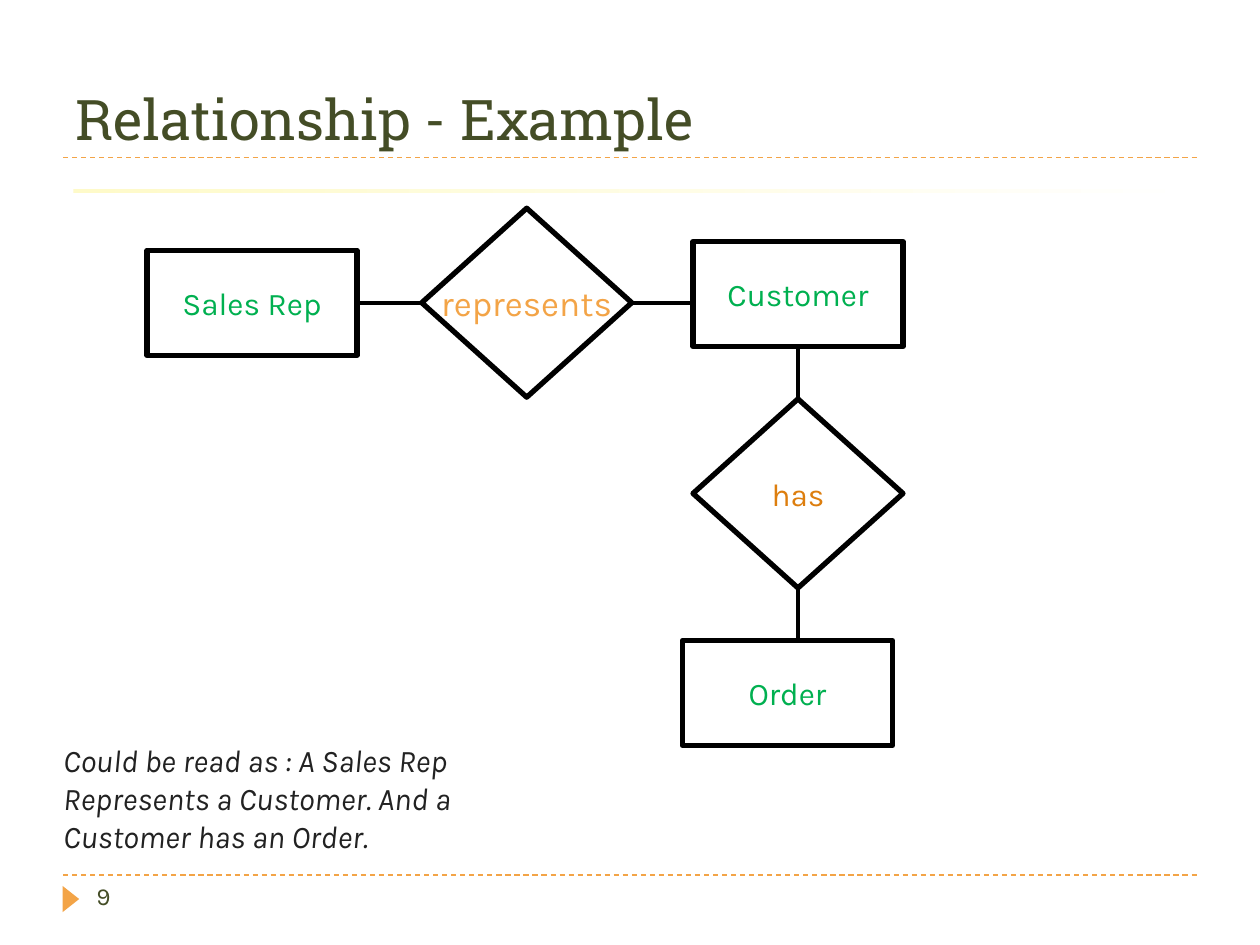
from dataclasses import dataclass

from lxml import etree
from pptx import Presentation
from pptx.dml.color import RGBColor
from pptx.enum.dml import MSO_LINE
from pptx.enum.shapes import MSO_CONNECTOR, MSO_SHAPE
from pptx.enum.text import MSO_ANCHOR, PP_ALIGN
from pptx.oxml.ns import qn
from pptx.shapes.autoshape import Shape
from pptx.shapes.connector import Connector
from pptx.slide import Slide
from pptx.util import Pt

RECTANGLE = MSO_SHAPE.RECTANGLE
DIAMOND = MSO_SHAPE.DIAMOND
TRIANGLE = MSO_SHAPE.ISOSCELES_TRIANGLE
STRAIGHT = MSO_CONNECTOR.STRAIGHT
DASH = MSO_LINE.DASH
TOP, MIDDLE, BOTTOM = MSO_ANCHOR.TOP, MSO_ANCHOR.MIDDLE, MSO_ANCHOR.BOTTOM
LEFT, CENTER = PP_ALIGN.LEFT, PP_ALIGN.CENTER
SITE_TOP, SITE_LEFT, SITE_BOTTOM, SITE_RIGHT = range(4)

BODY_FONT, TITLE_FONT = "Karla", "Roboto Slab"
BLACK, ORANGE, DARK_ORANGE = "000000", "F3A447", "DD7E0E"
GREEN, OLIVE, CHARCOAL = "00B050", "444D26", "222222"
NODE_WIDTH = 120
NODE_HEIGHTS = {RECTANGLE: 60, DIAMOND: 108}


@dataclass
class Node:
    label: str
    kind: MSO_SHAPE
    left: float
    top: float
    color: str
    size: float = 18


@dataclass
class Link:
    """A line between nodes; a None node leaves that end free at its point."""
    start: tuple[float, float]
    end: tuple[float, float]
    start_node: str | None
    start_site: int
    end_node: str | None
    end_site: int


NODES = [
    Node("represents", DIAMOND, 241, 119, ORANGE, 20),
    Node("Customer", RECTANGLE, 396, 138, GREEN),
    Node("Sales Rep", RECTANGLE, 84, 143, GREEN),
    Node("Order", RECTANGLE, 390, 366, GREEN),
    Node("has", DIAMOND, 396, 228, DARK_ORANGE),
]

LINKS = [
    Link((456, 198), (456, 228), "Customer", SITE_BOTTOM, "has", SITE_TOP),
    Link((456, 336), (456, 366), "has", SITE_BOTTOM, None, SITE_TOP),
    Link((204, 173), (241, 173), "Sales Rep", SITE_RIGHT, "represents", SITE_LEFT),
    Link((361, 173), (396, 173), "represents", SITE_RIGHT, None, SITE_LEFT),
]


def rgb(color: str) -> RGBColor:
    return RGBColor.from_string(color)


def write(shape: Shape, text: str, *, size: float, color: str, font: str = BODY_FONT,
          align: PP_ALIGN = LEFT, anchor: MSO_ANCHOR = TOP,
          italic: bool = False, wrap: bool = True) -> None:
    """Fill a shape with text, one paragraph per line."""
    frame = shape.text_frame
    frame.word_wrap = wrap
    frame.vertical_anchor = anchor
    frame.text = text
    for paragraph in frame.paragraphs:
        paragraph.alignment = align
        paragraph.font.size = Pt(size)
        paragraph.font.name = font
        paragraph.font.italic = italic
        paragraph.font.color.rgb = rgb(color)


def add_text(slide: Slide, text: str, left: float, top: float,
             width: float, height: float, **text_format) -> None:
    box = slide.shapes.add_textbox(Pt(left), Pt(top), Pt(width), Pt(height))
    write(box, text, **text_format)


def add_plain_shape(slide: Slide, kind: MSO_SHAPE, left: float, top: float,
                    width: float, height: float) -> Shape:
    """Add a shape without fill, line or shadow."""
    shape = slide.shapes.add_shape(kind, Pt(left), Pt(top), Pt(width), Pt(height))
    shape.shadow.inherit = False
    shape.fill.background()
    shape.line.fill.background()
    return shape


def add_line(slide: Slide, start: tuple[float, float], end: tuple[float, float],
             color: str, width: float) -> Connector:
    points = [Pt(value) for value in (*start, *end)]
    line = slide.shapes.add_connector(STRAIGHT, *points)
    line.line.color.rgb = rgb(color)
    line.line.width = Pt(width)
    etree.SubElement(line._element.spPr, qn("a:effectLst"))
    return line


def add_decoration(slide: Slide) -> None:
    for y in (500, 90):
        rule = add_line(slide, (36, y), (684, y), ORANGE, 0.75)
        rule.line.dash_style = DASH

    marker = add_plain_shape(slide, TRIANGLE, 33, 509, 15, 9.5)
    marker.rotation = 90
    marker.fill.solid()
    marker.fill.fore_color.rgb = rgb(ORANGE)

    band = add_plain_shape(slide, RECTANGLE, 42, 108, 648, 2.25)
    band.fill.gradient()
    band.fill.gradient_angle = 0
    for stop, color in zip(band.fill.gradient_stops, ("FEFAC9", "FFFFFF")):
        stop.color.rgb = rgb(color)


def add_node(slide: Slide, node: Node) -> Shape:
    shape = add_plain_shape(slide, node.kind, node.left, node.top,
                            NODE_WIDTH, NODE_HEIGHTS[node.kind])
    shape.line.color.rgb = rgb(BLACK)
    shape.line.width = Pt(3)
    write(shape, node.label, size=node.size, color=node.color,
          align=CENTER, anchor=MIDDLE, wrap=False)
    return shape


def add_link(slide: Slide, link: Link, shapes: dict[str, Shape]) -> None:
    line = add_line(slide, link.start, link.end, BLACK, 2.25)
    if link.start_node:
        line.begin_connect(shapes[link.start_node], link.start_site)
    if link.end_node:
        line.end_connect(shapes[link.end_node], link.end_site)


def main() -> None:
    presentation = Presentation()
    presentation.slide_width, presentation.slide_height = Pt(720), Pt(540)
    slide = presentation.slides.add_slide(presentation.slide_layouts[6])

    add_decoration(slide)
    add_text(slide, "Relationship - Example", 36, 12, 648, 78,
             size=32, color=OLIVE, font=TITLE_FONT, anchor=BOTTOM)
    add_text(slide, "9", 48, 500, 156, 29, size=14, color=OLIVE)

    shapes = {node.label: add_node(slide, node) for node in NODES}
    for link in LINKS:
        add_link(slide, link, shapes)

    caption = ("Could be read as : A Sales Rep\n"
               "Represents a Customer. And a\n"
               "Customer has an Order.")
    add_text(slide, caption, 29, 420, 253, 72, size=18, color=CHARCOAL, italic=True)

    presentation.save("out.pptx")


if __name__ == "__main__":
    main()
